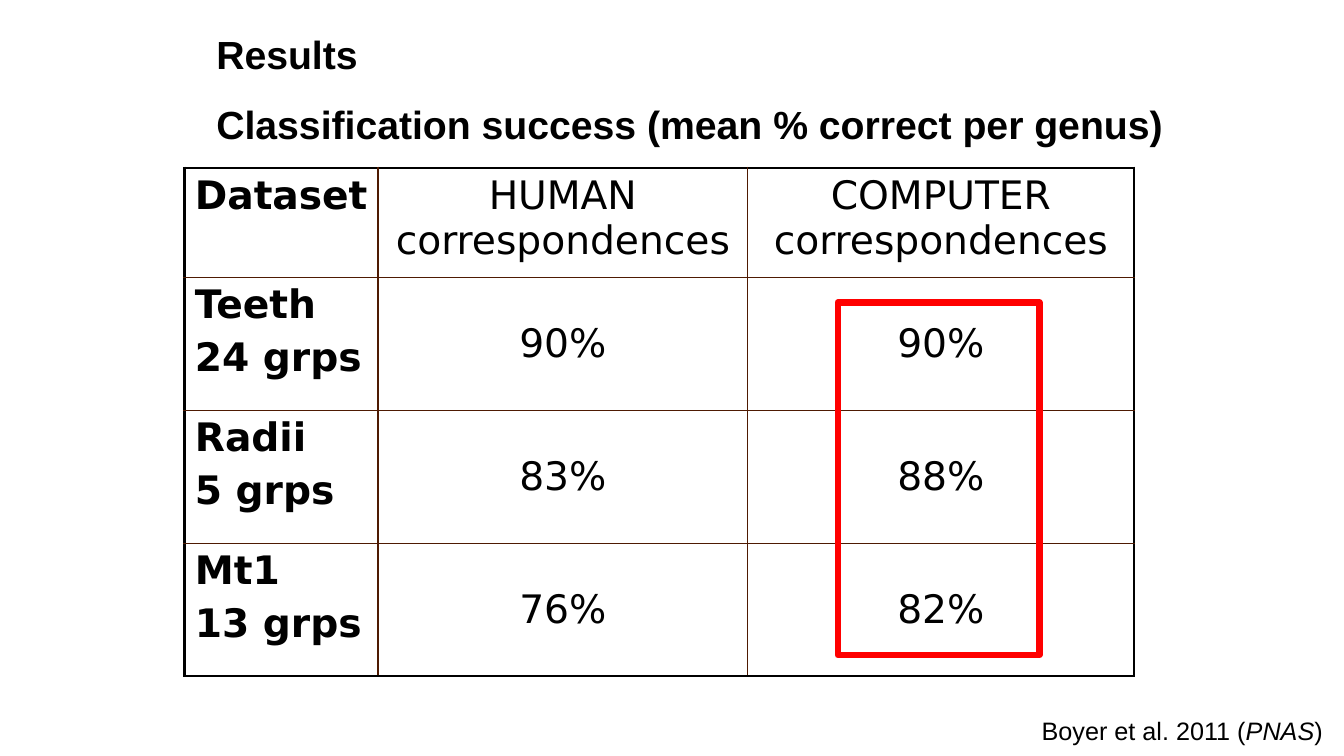
from lxml import etree
from pptx import Presentation
from pptx.dml.color import RGBColor
from pptx.enum.shapes import MSO_SHAPE
from pptx.enum.text import MSO_ANCHOR, MSO_AUTO_SIZE, PP_ALIGN
from pptx.oxml.ns import qn
from pptx.util import Pt

LEFT, CENTER = PP_ALIGN.LEFT, PP_ALIGN.CENTER
TOP, MIDDLE = MSO_ANCHOR.TOP, MSO_ANCHOR.MIDDLE
NO_AUTOFIT = MSO_AUTO_SIZE.NONE
RECTANGLE = MSO_SHAPE.RECTANGLE

# Content
HEADING = ["Results", "Classification success (mean % correct per genus)"]
ROWS = [
    (["Dataset"], ["HUMAN correspondences"], ["COMPUTER correspondences"]),
    (["Teeth", "24 grps"], ["90%"], ["90%"]),
    (["Radii", "5 grps"], ["83%"], ["88%"]),
    (["Mt1", "13 grps"], ["76%"], ["82%"]),
]
CITATION = [("Boyer et al. 2011 (", False), ("PNAS", True), (")", False)]

# Style and layout, in points
COLORS = {"text": "000000", "frame": "000000", "grid": "4E1A02", "highlight": "FF0000"}
HEADING_FONT, TABLE_FONT = "Arial", "DejaVu Sans"
COL_WIDTHS = [138, 264, 276]
ROW_HEIGHTS = [78, 95, 95, 95]
TABLE_LEFT, TABLE_TOP = 132, 120


def rgb(name):
    return RGBColor.from_string(COLORS[name])


def add_run(p, text, font, size, bold=False, italic=False):
    r = p.add_run()
    r.text = text
    r.font.name, r.font.size = font, Pt(size)
    r.font.bold, r.font.italic = bold, italic
    r.font.color.rgb = rgb("text")


def add_lines(tf, lines, font, size, bold, align, gap):
    for i, line in enumerate(lines):
        p = tf.paragraphs[0] if i == 0 else tf.add_paragraph()
        p.alignment = align
        p.space_before = Pt(gap if i else 0)
        add_run(p, line, font, size, bold)


def set_border(cell, side, outer):
    ln = etree.SubElement(cell._tc.get_or_add_tcPr(), qn("a:ln" + side))
    ln.set("w", str(Pt(2.25 if outer else 1)))
    fill = etree.SubElement(ln, qn("a:solidFill"))
    color = COLORS["frame" if outer else "grid"]
    etree.SubElement(fill, qn("a:srgbClr")).set("val", color)


prs = Presentation()
prs.slide_width, prs.slide_height = Pt(960), Pt(540)
s = prs.slides.add_slide(prs.slide_layouts[5])

# Heading
title = s.shapes.title
title.left, title.top, title.width, title.height = Pt(120), Pt(18), Pt(720), Pt(91)
tf = title.text_frame
tf.word_wrap, tf.auto_size, tf.vertical_anchor = True, NO_AUTOFIT, MIDDLE
tf.margin_left = Pt(34.5)
add_lines(tf, HEADING, HEADING_FONT, 28, True, LEFT, 16)

# Results table
n_rows, n_cols = len(ROWS), len(COL_WIDTHS)
table = s.shapes.add_table(n_rows, n_cols, Pt(TABLE_LEFT), Pt(TABLE_TOP),
                           Pt(sum(COL_WIDTHS)), Pt(sum(ROW_HEIGHTS))).table
table.first_row = table.horz_banding = False
for column, width in zip(table.columns, COL_WIDTHS):
    column.width = Pt(width)
for i, (row, height) in enumerate(zip(ROWS, ROW_HEIGHTS)):
    table.rows[i].height = Pt(height)
    for j, lines in enumerate(row):
        cell = table.cell(i, j)
        edges = {"L": j == 0, "R": j == n_cols - 1, "T": i == 0, "B": i == n_rows - 1}
        for side, outer in edges.items():
            set_border(cell, side, outer)
        cell.fill.background()
        cell.vertical_anchor = MIDDLE if i and j else TOP
        add_lines(cell.text_frame, lines, TABLE_FONT, 28, j == 0,
                  CENTER if j else LEFT, 5.5)

# Highlight around the computer results
sp = s.shapes.add_shape(RECTANGLE, Pt(598.5), Pt(216), Pt(144), Pt(252))
sp.shadow.inherit = False
sp.fill.background()
sp.line.color.rgb = rgb("highlight")
sp.line.width = Pt(4.5)

# Citation
box = s.shapes.add_textbox(Pt(737), Pt(507.5), Pt(216), Pt(29))
box.text_frame.word_wrap = False
p = box.text_frame.paragraphs[0]
for text, italic in CITATION:
    add_run(p, text, HEADING_FONT, 18, italic=italic)

prs.save("out.pptx")
